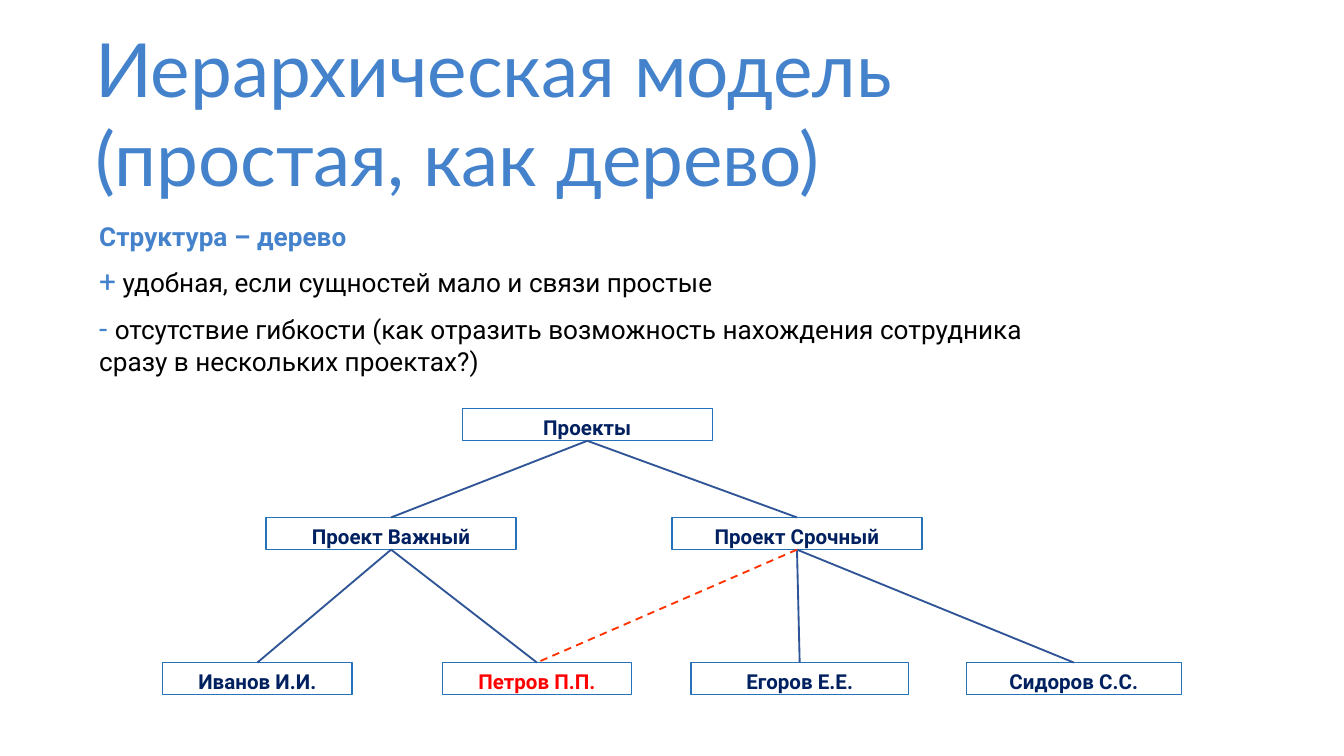
from lxml.etree import SubElement
from pptx import Presentation
from pptx.dml.color import RGBColor
from pptx.enum.dml import MSO_LINE
from pptx.enum.shapes import MSO_CONNECTOR, MSO_SHAPE
from pptx.enum.text import MSO_ANCHOR, MSO_AUTO_SIZE, PP_ALIGN
from pptx.oxml.ns import qn
from pptx.util import Inches, Pt

BLUE = RGBColor(0x44, 0x82, 0xCC)
BLACK = RGBColor(0, 0, 0)
NAVY = RGBColor(0x00, 0x20, 0x60)
RED = RGBColor(0xFF, 0, 0)
BORDER = RGBColor(0x25, 0x72, 0xBB)
LINK = RGBColor(0x2F, 0x55, 0x97)
CONFLICT = RGBColor(0xFF, 0x33, 0x00)

# Each paragraph is a list of runs: text, size, colour, bold
TITLE = [
    [("Иерархическая модель", 40, BLUE, False)],
    [("(простая, как дерево)", 40, BLUE, False)],
]
BODY = [
    [("Структура – дерево", 14, BLUE, True)],
    [("+", 16, BLUE, False),
     (" удобная, если сущностей мало и связи простые", 14, BLACK, False)],
    [("- ", 16, BLUE, False),
     ("отсутствие гибкости (как отразить возможность нахождения сотрудника "
      "сразу в нескольких проектах?)", 14, BLACK, False)],
]

# Tree levels: top of the row, then nodes as name, left, width, text colour
LEVELS = [
    (3.04, [("Проекты", 3.44, 1.86, NAVY)]),
    (3.85, [("Проект Важный", 1.98, 1.86, NAVY),
            ("Проект Срочный", 5.0, 1.86, NAVY)]),
    (4.93, [("Иванов И.И.", 1.21, 1.41, NAVY),
            ("Петров П.П.", 3.29, 1.41, RED),
            ("Егоров Е.Е.", 5.14, 1.62, NAVY),
            ("Сидоров С.С.", 7.19, 1.6, NAVY)]),
]
NODE_H = 0.24
CHILDREN = {
    "Проекты": ["Проект Важный", "Проект Срочный"],
    "Проект Важный": ["Иванов И.И.", "Петров П.П."],
    "Проект Срочный": ["Егоров Е.Е.", "Сидоров С.С."],
}
SECOND_PARENT = ("Проект Срочный", "Петров П.П.")


def write(tf, paragraphs, font, align=PP_ALIGN.LEFT, after=0):
    tf.word_wrap = True
    tf.auto_size = MSO_AUTO_SIZE.NONE
    tf.vertical_anchor = MSO_ANCHOR.TOP
    for i, runs in enumerate(paragraphs):
        p = tf.add_paragraph() if i else tf.paragraphs[0]
        p.alignment = align
        p.space_after = Pt(after)
        for text, size, color, bold in runs:
            r = p.add_run()
            r.text = text
            r.font.name = font
            r.font.size = Pt(size)
            r.font.bold = bold
            r.font.color.rgb = color


def add_text(s, box, paragraphs, font, after=0):
    sp = s.shapes.add_textbox(*map(Inches, box))
    write(sp.text_frame, paragraphs, font, after=after)


def add_node(s, name, left, top, width, color):
    sp = s.shapes.add_shape(MSO_SHAPE.RECTANGLE, Inches(left), Inches(top),
                            Inches(width), Inches(NODE_H))
    sp.shadow.inherit = False
    sp.fill.background()
    sp.line.color.rgb = BORDER
    sp.line.width = Pt(0.75)
    write(sp.text_frame, [[(name, 11, color, True)]], "Roboto", PP_ALIGN.CENTER)
    return sp


def add_link(s, parent, child, color=LINK, dash=None):
    """Join the bottom of the parent to the top of the child."""
    line = s.shapes.add_connector(MSO_CONNECTOR.STRAIGHT, 0, 0, 0, 0)
    line.begin_connect(parent, 2)
    line.end_connect(child, 0)
    line.line.color.rgb = color
    line.line.width = Pt(1)
    if dash:
        line.line.dash_style = dash
    SubElement(line._element.spPr, qn("a:effectLst"))


def main():
    prs = Presentation()
    prs.slide_width = Inches(10)
    prs.slide_height = prs.slide_width * 9 // 16
    s = prs.slides.add_slide(prs.slide_layouts[6])

    add_text(s, (0.61, 0.12, 9.24, 1.45), TITLE, "Lato")
    add_text(s, (0.64, 1.59, 7.16, 3.91), BODY, "Roboto", after=6)

    nodes = {name: add_node(s, name, left, top, width, color)
             for top, row in LEVELS for name, left, width, color in row}
    for parent, names in CHILDREN.items():
        for name in names:
            add_link(s, nodes[parent], nodes[name])
    parent, child = SECOND_PARENT
    add_link(s, nodes[parent], nodes[child], CONFLICT, MSO_LINE.DASH)

    prs.save("out.pptx")


if __name__ == "__main__":
    main()
